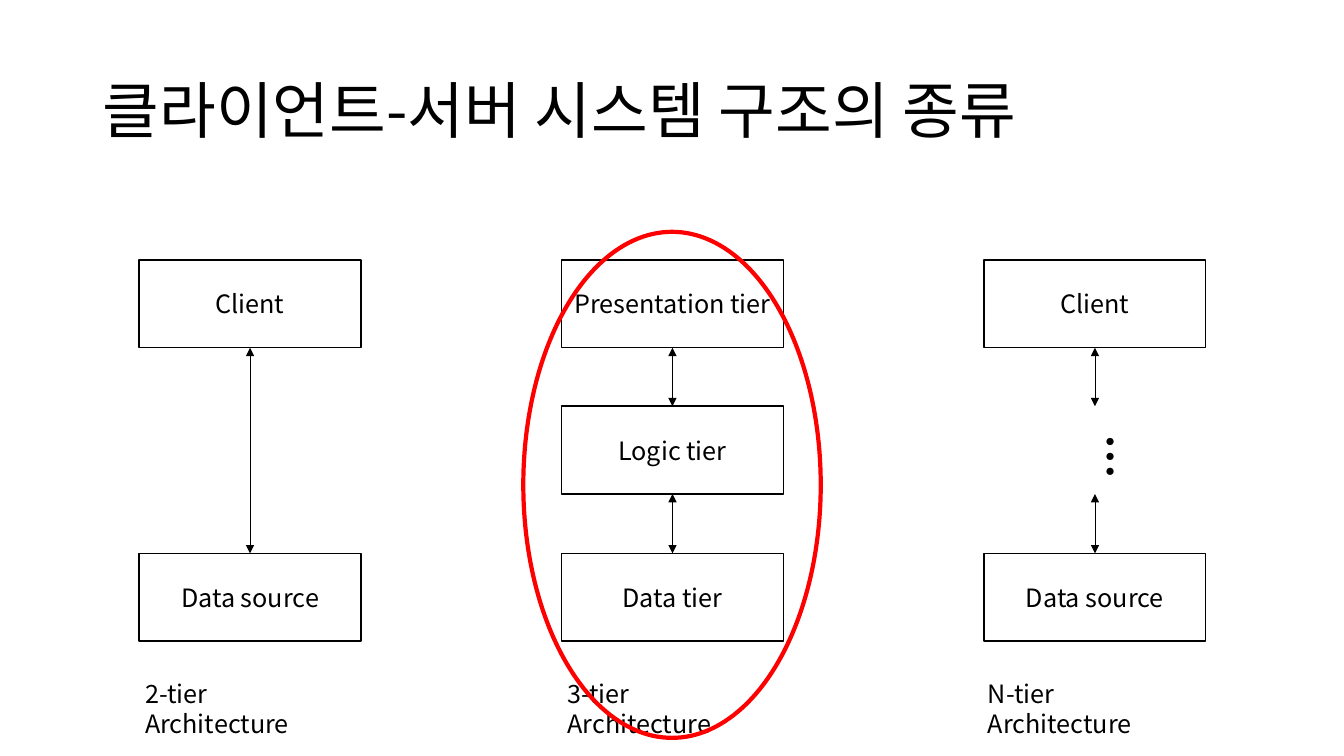
from lxml.etree import SubElement
from pptx import Presentation
from pptx.dml.color import RGBColor
from pptx.enum.shapes import MSO_CONNECTOR, MSO_SHAPE
from pptx.enum.text import MSO_ANCHOR, MSO_AUTO_SIZE, PP_ALIGN
from pptx.oxml.ns import qn
from pptx.util import Emu, Pt


def px(length):
    """Turn px, 100 to the inch, into EMU."""
    return Emu(length * 9144)


def color(hex_code):
    return RGBColor.from_string(hex_code)


class Diagram:
    FONT = "Noto Sans CJK KR"
    INK = "000000"
    ACCENT = "FF0000"

    def __init__(self, slide):
        self.shapes = slide.shapes

    def set_text(self, frame, text, size, bold=None):
        frame.text = text
        paragraph = frame.paragraphs[0]
        for run in paragraph.runs:
            run.font.size = Pt(size)
            run.font.bold = bold
            run.font.name = self.FONT
            run.font.color.rgb = color(self.INK)
            SubElement(run.font._element, qn("a:ea"), typeface=self.FONT)
        return paragraph

    def outline(self, kind, left, top, width, height, line_color, line_width):
        shape = self.shapes.add_shape(kind, px(left), px(top), px(width), px(height))
        shape.shadow.inherit = False
        shape.fill.background()
        shape.line.color.rgb = color(line_color)
        shape.line.width = Pt(line_width)
        return shape

    def tier(self, left, top, width, height, name):
        box = self.outline(MSO_SHAPE.RECTANGLE, left, top, width, height, self.INK, 1)
        box.text_frame.vertical_anchor = MSO_ANCHOR.MIDDLE
        self.set_text(box.text_frame, name, 18).alignment = PP_ALIGN.CENTER

    def highlight(self, left, top, width, height):
        self.outline(MSO_SHAPE.OVAL, left, top, width, height, self.ACCENT, 3)

    def label(self, left, top, width, height, text, size=18, bold=None, wrap=True):
        box = self.shapes.add_textbox(px(left), px(top), px(width), px(height))
        box.text_frame.word_wrap = wrap
        box.text_frame.auto_size = MSO_AUTO_SIZE.SHAPE_TO_FIT_TEXT
        self.set_text(box.text_frame, text, size, bold)
        return box

    def title(self, left, top, width, height, text):
        heading = self.label(left, top, width, height, text, 44)
        heading.text_frame.auto_size = MSO_AUTO_SIZE.NONE
        heading.text_frame.vertical_anchor = MSO_ANCHOR.MIDDLE
        heading.text_frame.paragraphs[0].line_spacing = 0.9

    def double_arrow(self, x, top, bottom):
        arrow = self.shapes.add_connector(
            MSO_CONNECTOR.STRAIGHT, px(x), px(top), px(x), px(bottom))
        arrow.line.color.rgb = color(self.INK)
        arrow.line.width = Pt(0.5)
        line = arrow._element.spPr.find(qn("a:ln"))
        for end in ("a:headEnd", "a:tailEnd"):
            SubElement(line, qn(end), type="triangle")
        SubElement(arrow._element.spPr, qn("a:effectLst"))


TIER_WIDTH, TIER_HEIGHT = 220, 87
ROWS = (258, 403, 549)
FIRST_LEFT, COLUMN_PITCH = 138, 419
TOP_GAP = (ROWS[0] + TIER_HEIGHT, ROWS[1])
BOTTOM_GAP = (ROWS[1] + TIER_HEIGHT, ROWS[2])
FULL_GAP = (TOP_GAP[0], BOTTOM_GAP[1])

# Caption, caption left and width, tier names by row, arrow spans
ARCHITECTURES = [
    ("2-tier Architecture", 134, 228,
     ("Client", None, "Data source"), (FULL_GAP,)),
    ("3-tier Architecture", 553, 228,
     ("Presentation tier", "Logic tier", "Data tier"), (TOP_GAP, BOTTOM_GAP)),
    ("N-tier Architecture", 970, 233,
     ("Client", None, "Data source"), (TOP_GAP, BOTTOM_GAP)),
]


def main():
    deck = Presentation()
    deck.slide_width, deck.slide_height = px(1333), px(750)
    diagram = Diagram(deck.slides.add_slide(deck.slide_layouts[6]))

    diagram.title(92, 40, 1150, 145, "클라이언트-서버 시스템 구조의 종류")
    for column, (caption, caption_left, caption_width, tiers, spans) in enumerate(ARCHITECTURES):
        left = FIRST_LEFT + column * COLUMN_PITCH
        for top, name in zip(ROWS, tiers):
            if name:
                diagram.tier(left, top, TIER_WIDTH, TIER_HEIGHT, name)
        for start, end in spans:
            diagram.double_arrow(left + TIER_WIDTH // 2, start, end)
        diagram.label(caption_left, 668, caption_width, 40, caption)

    more_tiers = diagram.label(1072, 419, 60, 64, "…", 32, bold=True, wrap=False)
    more_tiers.rotation = 90
    diagram.highlight(519, 230, 295, 502)
    deck.save("out.pptx")


if __name__ == "__main__":
    main()
